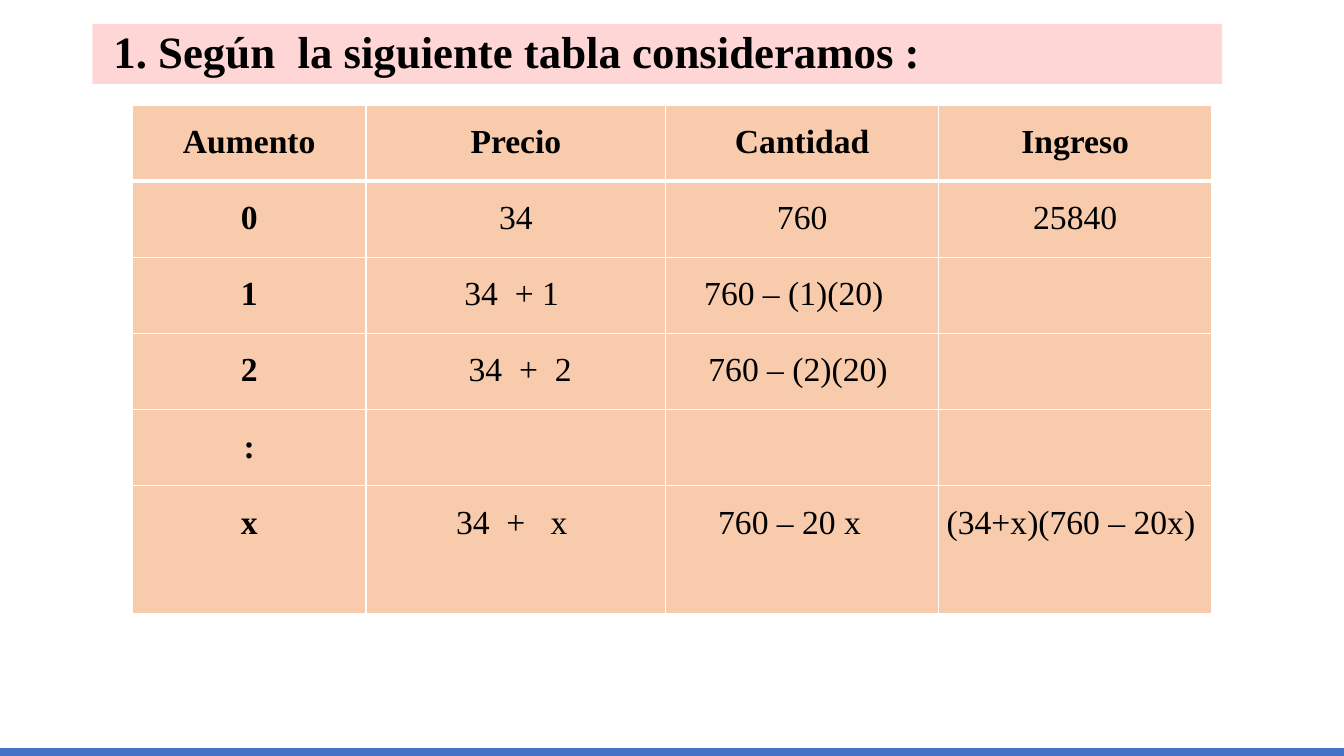
from lxml import etree
from pptx import Presentation
from pptx.dml.color import RGBColor
from pptx.enum.shapes import MSO_CONNECTOR
from pptx.enum.text import MSO_ANCHOR, PP_ALIGN
from pptx.oxml.ns import qn
from pptx.util import Pt

STRAIGHT = MSO_CONNECTOR.STRAIGHT
MIDDLE = MSO_ANCHOR.MIDDLE
LEFT, CENTER = PP_ALIGN.LEFT, PP_ALIGN.CENTER
FONT = "Times New Roman"
SLIDE_WIDTH, SLIDE_HEIGHT = 960, 540
TITLE_LAYOUT = 5
CELL_MARGIN = 6

COLUMN_WIDTHS = [167, 214, 195, 195]
ROW_HEIGHTS = [54.4] * 5 + [91]
ROWS = [
    ["Aumento", "Precio", "Cantidad", "Ingreso"],
    ["0", "34", "760", "25840"],
    ["1", "34  + 1", "760 – (1)(20)", ""],
    ["2", "34  +  2", "760 – (2)(20)", ""],
    [":", "", "", ""],
    ["x", "34  +   x", "760 – 20 x", "(34+x)(760 – 20x)"],
]
LEFT_SHIFTS = {(2, 1): 3, (2, 2): 6, (3, 1): -3, (3, 2): 3,
               (5, 1): 3, (5, 2): 9, (5, 3): 3}


def color(value):
    return RGBColor.from_string(value)


def add_text(paragraph, text, size, bold, alignment, spacing):
    paragraph.alignment = alignment
    paragraph.line_spacing = spacing
    run = paragraph.add_run()
    run.text = text
    run.font.name = FONT
    run.font.size = Pt(size)
    run.font.bold = bold
    run.font.color.rgb = color("000000")


def place_title(slide, left, top, width, height):
    title = slide.shapes.title
    title.left, title.top = Pt(left), Pt(top)
    title.width, title.height = Pt(width), Pt(height)
    title.fill.solid()
    title.fill.fore_color.rgb = color("FF0000")
    fill_color = title.fill._xPr.find(qn("a:solidFill"))[0]
    etree.SubElement(fill_color, qn("a:alpha"), val="16000")
    frame = title.text_frame
    frame.word_wrap = True
    frame.vertical_anchor = MIDDLE
    frame.margin_left = Pt(15)
    frame.margin_top = frame.margin_bottom = Pt(0)
    add_text(frame.paragraphs[0], "1. Según  la siguiente tabla consideramos :",
             32, True, LEFT, 0.9)


def set_borders(cell, row):
    widths = {"lnL": 1, "lnR": 1, "lnT": 3 if row == 1 else 1, "lnB": 3 if row == 0 else 1}
    properties = cell._tc.get_or_add_tcPr()
    for side, width in widths.items():
        line = etree.SubElement(properties, qn("a:" + side), w=str(Pt(width)))
        fill = etree.SubElement(line, qn("a:solidFill"))
        etree.SubElement(fill, qn("a:srgbClr"), val="FFFFFF")


def format_cell(cell, text, row, column):
    shift = LEFT_SHIFTS.get((row, column), 0)
    margin_left = max(0, CELL_MARGIN - shift)
    set_borders(cell, row)
    cell.fill.solid()
    cell.fill.fore_color.rgb = color("F8CBAD")
    cell.margin_left = Pt(margin_left)
    cell.margin_right = Pt(margin_left + 2 * shift)
    cell.margin_top = cell.margin_bottom = Pt(0)
    if text:
        paragraph = cell.text_frame.paragraphs[0]
        paragraph.space_after = Pt(6)
        add_text(paragraph, text, 24, row == 0 or column == 0, CENTER, 1.5)


def place_table(slide, left, top):
    frame = slide.shapes.add_table(len(ROWS), len(COLUMN_WIDTHS), Pt(left), Pt(top),
                                   Pt(sum(COLUMN_WIDTHS)), Pt(sum(ROW_HEIGHTS)))
    table = frame.table
    for column, width in zip(table.columns, COLUMN_WIDTHS):
        column.width = Pt(width)
    for row, height in zip(table.rows, ROW_HEIGHTS):
        row.height = Pt(height)
    for row, texts in enumerate(ROWS):
        for column, text in enumerate(texts):
            format_cell(table.cell(row, column), text, row, column)


def place_footer_line(slide, left, top, width):
    line = slide.shapes.add_connector(STRAIGHT, Pt(left), Pt(top), Pt(left + width), Pt(top))
    line.line.color.rgb = color("4472C4")
    line.line.width = Pt(6)
    etree.SubElement(line._element.spPr, qn("a:effectLst"))


def main():
    presentation = Presentation()
    presentation.slide_width = Pt(SLIDE_WIDTH)
    presentation.slide_height = Pt(SLIDE_HEIGHT)
    slide = presentation.slides.add_slide(presentation.slide_layouts[TITLE_LAYOUT])
    place_footer_line(slide, 0, 537, SLIDE_WIDTH)
    place_title(slide, 66, 17, 807, 43)
    place_table(slide, 94.5, 75)
    presentation.save("out.pptx")


if __name__ == "__main__":
    main()
